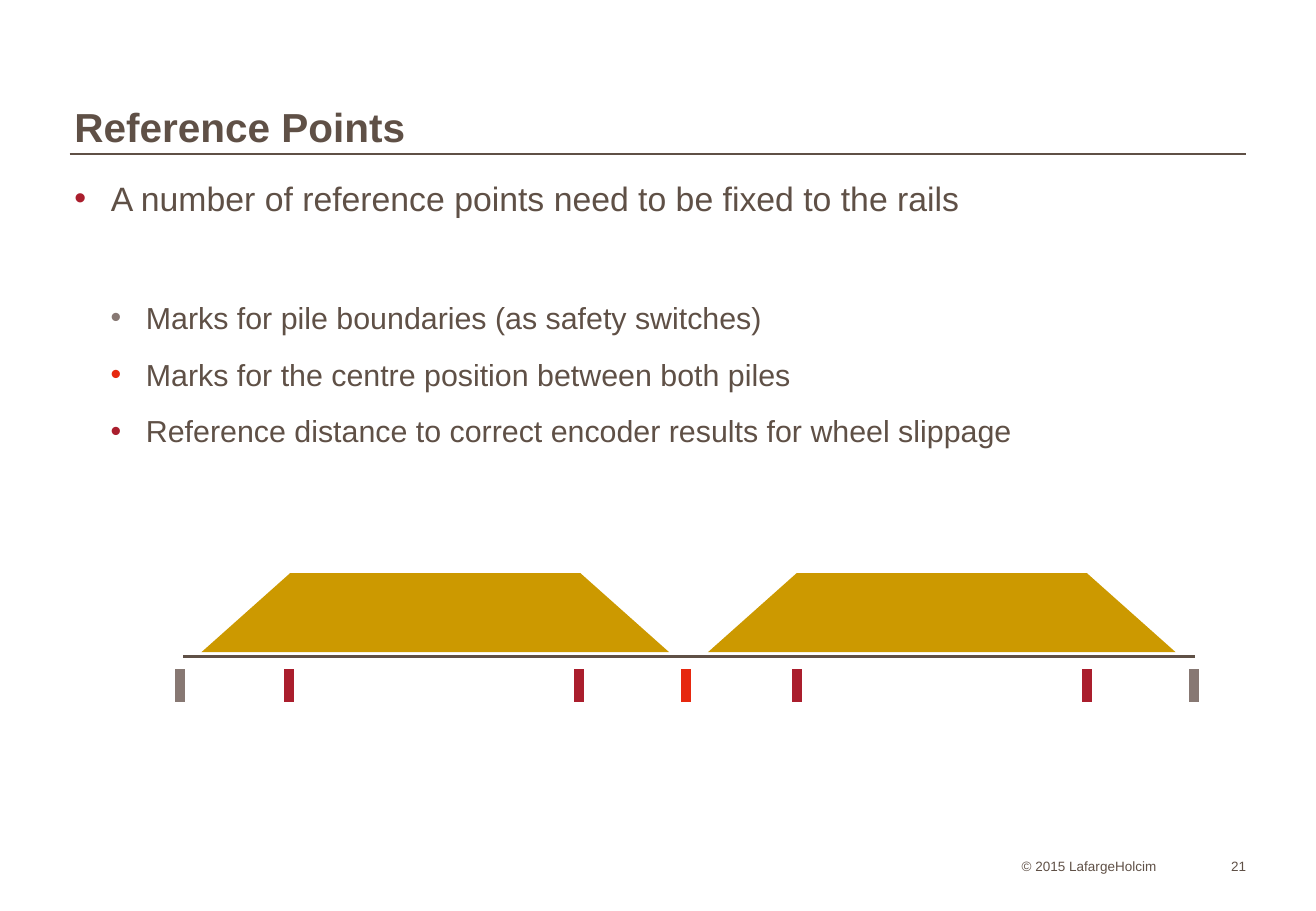
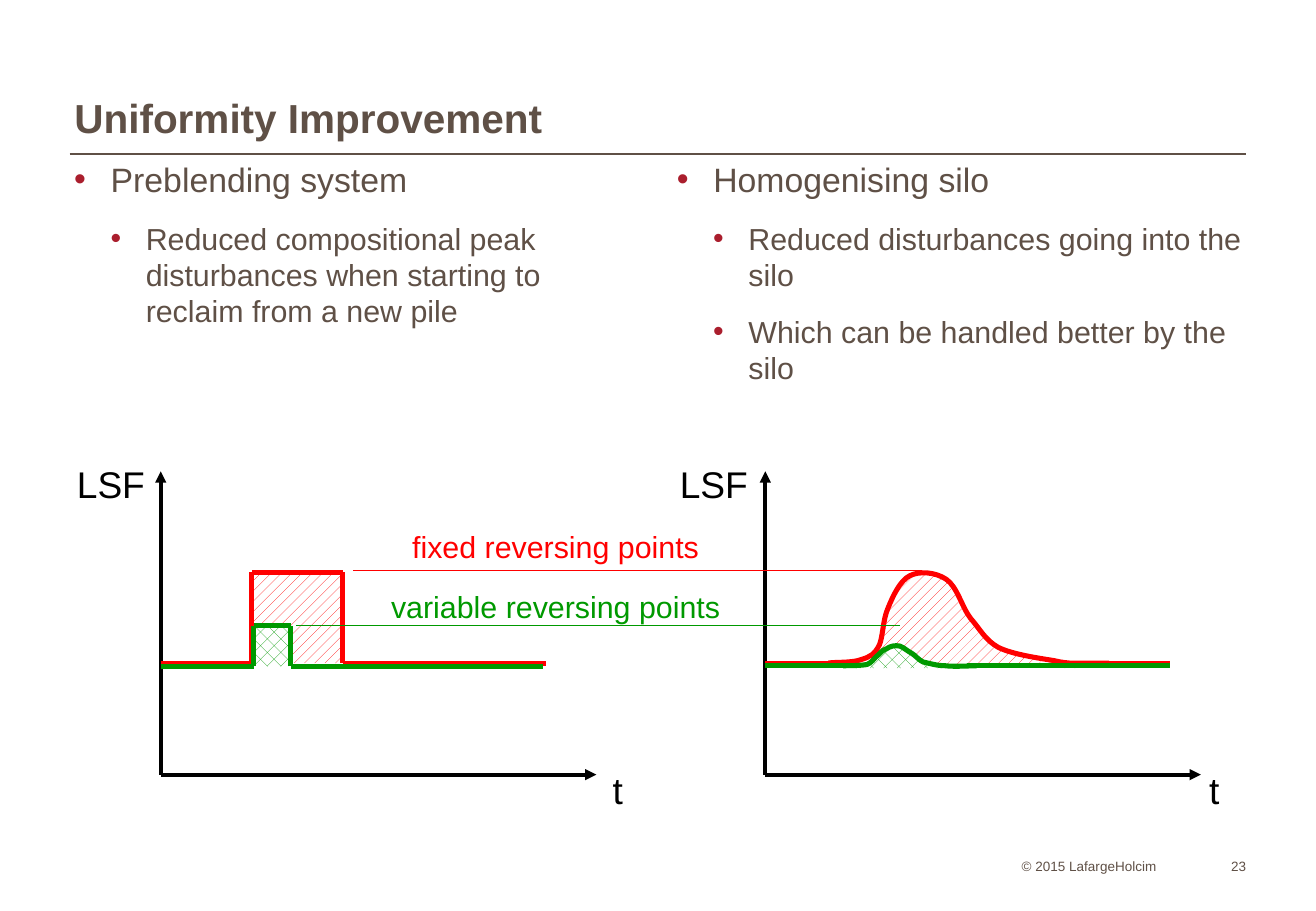
from dataclasses import dataclass

from lxml.etree import SubElement
from pptx import Presentation
from pptx.dml.color import RGBColor
from pptx.enum.dml import MSO_PATTERN
from pptx.enum.shapes import MSO_CONNECTOR, MSO_SHAPE
from pptx.enum.text import MSO_ANCHOR, PP_ALIGN
from pptx.oxml.ns import qn
from pptx.util import Pt


@dataclass(frozen=True)
class Theme:
    font: str = "Arial"
    brown: str = "5F5046"
    crimson: str = "AA1E2D"
    grey: str = "877873"
    orange: str = "E6280F"
    ochre: str = "CC9900"
    red: str = "FF0000"
    green: str = "009900"
    black: str = "000000"
    white: str = "FFFFFF"
    title: int = 24
    levels: tuple = (20, 18)
    axis: int = 22
    label: int = 18
    footer: int = 8


T = Theme()
COPYRIGHT = "© 2015 LafargeHolcim"
INDENTS = ((21.6, -21.6), (42.4, -20.9))  # left margin, first line

# Bullets: level, text, bullet colour, space before
REFERENCE_BULLETS = [
    (0, "A number of reference points need to be fixed to the rails", T.crimson, 0),
    (1, "Marks for pile boundaries (as safety switches)", T.grey, 48.2),
    (1, "Marks for the centre position between both piles", T.orange, 12),
    (1, "Reference distance to correct encoder results for wheel slippage", T.crimson, 12),
]
PREBLENDING_BULLETS = [
    (0, "Preblending system", T.crimson, 0),
    (1, "Reduced compositional peak disturbances when starting to reclaim from a new pile",
     T.crimson, 12),
]
SILO_BULLETS = [
    (0, "Homogenising silo", T.crimson, 0),
    (1, "Reduced disturbances going into the silo", T.crimson, 12),
    (1, "Which can be handled better by the silo", T.crimson, 12),
]

PILE_LEFTS = (119.4, 419.6)
PILE_WIDTH, PILE_SLOPE = 277.2, 52.5
PILE_TOP, PILE_BOTTOM = 339.8, 386.6
RAIL = (108.6, 708.5, 389.3)
TICK_TOP, TICK_BOTTOM = 396.8, 416.3
MARKS = [(106.6, T.grey), (171.3, T.crimson), (343.3, T.crimson), (406.8, T.orange),
         (472.3, T.crimson), (644.4, T.crimson), (707.8, T.grey)]

PLOTS = [(95.3, 38.4, 355.7), (453.6, 395.8, 709.2)]  # origin, "LSF" left, "t" left
AXIS_BASE, AXIS_TOP, AXIS_LENGTH = 459.2, 279.4, 258.2

RED_BASE, GREEN_BASE = 393.1, 395
RED_STEP = (149.3, 339.1, 203.3, 323.4)  # left, top, right, end of line
GREEN_STEP = (150.5, 370.8, 172.3, 321.8)
SILO_START, SILO_END = 453.6, 693.4
# Bezier chains: a start, then two control points and an end for each segment
RED_CURVE = [
    (491, 393.1),
    (494.6, 392.4), (505.4, 393.1), (510.5, 391),
    (515.5, 389.5), (518.4, 388.1), (521.3, 382.3),
    (523.4, 377.3), (523.4, 367.2), (526.3, 360.7),
    (529.2, 353.5), (533.5, 344.2), (539.3, 341.3),
    (545, 338.4), (554.4, 339.1), (560.9, 343.4),
    (567.4, 347.8), (570.2, 360), (575.3, 366.5),
    (581, 373), (583.9, 379.4), (591.8, 383.8),
    (600.5, 388.1), (616.3, 390.2), (625, 391.7),
    (633.6, 393.8), (640.1, 393.1), (645.8, 393.1),
    (650.9, 393.1), (655.2, 393.1), (657.4, 393.1),
]
GREEN_CURVE = [
    (499.7, 394.6),
    (502.6, 394.6), (510.5, 394.6), (514.1, 393.8),
    (517, 392.4), (517.7, 390.9), (519.1, 389.5),
    (521.3, 388.1), (522.7, 385.2), (525.6, 384.5),
    (527.8, 383), (530.6, 382.3), (533.5, 383),
    (535.7, 383.8), (537.8, 385.9), (540.7, 387.4),
    (542.9, 388.8), (544.3, 391), (547.2, 392.4),
    (550.8, 393.1), (555.1, 394.6), (560.2, 394.6),
    (565.9, 395.3), (575.3, 394.6), (578.9, 394.6),
]
RED_JOINS, GREEN_JOINS = (495.4, 657.4), (507.6, 573.1)  # inner ends of the flat lines
RED_AREA = [
    (488.9, 395.3), (639.4, 396), (594.7, 385.2), (583.9, 378), (575.3, 366.5),
    (564.5, 347), (555.1, 339.8), (540.7, 340.6), (533.5, 347), (524.2, 365.8),
    (520.6, 385.2), (513.4, 390.2), (502.6, 392.4),
]
GREEN_AREA = [(505.4, 396), (560.2, 396), (544.3, 391), (530.6, 382.3),
              (519.1, 388.8), (513.4, 394.6)]
LEADERS = [(175.7, 533.5, 370.6, T.green), (209.5, 546.5, 338.2, T.red)]
CURVE_LABELS = [
    ("fixed reversing points", (237.2, 309.6, 184.3, 28.8), T.red),
    ("variable reversing points", (224.6, 344.9, 209.5, 28.8), T.green),
]


def rgb(color):
    return RGBColor.from_string(color)


def text_box(s, box, margins=(0, 0, 0, 0), wrap=True, anchor=MSO_ANCHOR.TOP):
    tf = s.shapes.add_textbox(*map(Pt, box)).text_frame
    tf.margin_left, tf.margin_top, tf.margin_right, tf.margin_bottom = map(Pt, margins)
    tf.word_wrap = wrap
    tf.vertical_anchor = anchor
    return tf


def write(p, text, size, color, bold=False, align=None):
    p.text = text
    p.alignment = align
    font = p.runs[0].font
    font.name, font.size, font.bold = T.font, Pt(size), bold
    font.color.rgb = rgb(color)


def add_bullets(s, box, items):
    tf = text_box(s, box)
    for i, (level, text, color, before) in enumerate(items):
        p = tf.add_paragraph() if i else tf.paragraphs[0]
        pPr = p._p.get_or_add_pPr()
        left, first = INDENTS[level]
        pPr.set("marL", str(Pt(left)))
        pPr.set("indent", str(Pt(first)))
        SubElement(SubElement(pPr, qn("a:buClr")), qn("a:srgbClr"), val=color)
        SubElement(pPr, qn("a:buFont"), typeface=T.font)
        SubElement(pPr, qn("a:buChar"), char="•")
        p.level = level
        p.space_before = Pt(before)
        write(p, text, T.levels[level], T.brown)


def add_line(s, x1, y1, x2, y2, color, width, arrow=False):
    line = s.shapes.add_connector(MSO_CONNECTOR.STRAIGHT, *map(Pt, (x1, y1, x2, y2)))
    line.line.color.rgb = rgb(color)
    line.line.width = Pt(width)
    if arrow:
        SubElement(line.line._get_or_add_ln(), qn("a:tailEnd"), type="triangle")
    SubElement(line._element.spPr, qn("a:effectLst"))


def add_outline(s, points, close=True):
    start, *rest = [(Pt(x), Pt(y)) for x, y in points]
    builder = s.shapes.build_freeform(*start)
    builder.add_line_segments(rest, close=close)
    sp = builder.convert_to_shape()
    sp.shadow.inherit = False
    return sp


def add_curve(s, chain, color):
    """Draw a Bezier chain: every three line segments become one cubic segment."""
    sp = add_outline(s, chain, close=False)
    outline = next(sp._element.iter(qn("a:path")))
    segments = outline.findall(qn("a:lnTo"))
    for i in range(0, len(segments), 3):
        cubic = SubElement(outline, qn("a:cubicBezTo"))
        for segment in segments[i:i + 3]:
            cubic.append(segment[0])
            outline.remove(segment)
    sp.fill.background()
    sp.line.color.rgb = rgb(color)
    sp.line.width = Pt(3)


def hatch(sp, color, pattern):
    sp.shadow.inherit = False
    sp.fill.patterned()
    sp.fill.pattern = pattern
    sp.fill.fore_color.rgb = rgb(color)
    sp.fill.back_color.rgb = rgb(T.white)
    sp.line.fill.background()


def add_step(s, step, base, color, pattern):
    """Hatched rectangle with a line that rises over it."""
    left, top, right, end = step
    hatch(s.shapes.add_shape(MSO_SHAPE.RECTANGLE,
                             *map(Pt, (left, top, right - left, base - top))), color, pattern)
    for ends in ((PLOTS[0][0], base, left, base), (left, top, right, top),
                 (right, base, end, base), (right, base, right, top),
                 (left, base, left, top)):
        add_line(s, *ends, color, 3)


def add_silo_curve(s, chain, joins, color):
    add_curve(s, chain, color)
    y = chain[0][1]
    add_line(s, joins[0], y, SILO_START, y, color, 3)
    add_line(s, SILO_END, y, joins[1], y, color, 3)


def add_label(s, text, box, size, color):
    tf = text_box(s, box, (7.2, 3.6, 7.2, 3.6), wrap=False)
    write(tf.paragraphs[0], text, size, color, align=PP_ALIGN.CENTER)


def new_slide(prs, title, title_top, number):
    s = prs.slides.add_slide(prs.slide_layouts[6])
    add_line(s, 41.3, 91.3, 738.6, 91.3, T.brown, 1)
    for text, box, align in ((COPYRIGHT, (605.5, 505.4, 95, 13), PP_ALIGN.LEFT),
                             (str(number), (704.9, 505.4, 33.8, 13), PP_ALIGN.RIGHT)):
        tf = text_box(s, box, wrap=False, anchor=MSO_ANCHOR.BOTTOM)
        write(tf.paragraphs[0], text, T.footer, T.brown, align=align)
    tf = text_box(s, (44.1, title_top, 691.2, 62.6), (0, 0, 0, 0.7), anchor=MSO_ANCHOR.BOTTOM)
    write(tf.paragraphs[0], title, T.title, T.brown, bold=True)
    tf.paragraphs[0].line_spacing = 0.95
    return s


def reference_points(prs):
    s = new_slide(prs, "Reference Points", 28, 21)
    add_bullets(s, (44.1, 105.1, 691.9, 402.5), REFERENCE_BULLETS)
    rail_left, rail_right, rail_y = RAIL
    add_line(s, rail_left, rail_y, rail_right, rail_y, T.brown, 1.5)
    for left in PILE_LEFTS:
        right = left + PILE_WIDTH
        pile = add_outline(s, [(left, PILE_BOTTOM), (left + PILE_SLOPE, PILE_TOP),
                               (right - PILE_SLOPE, PILE_TOP), (right, PILE_BOTTOM)])
        pile.fill.solid()
        pile.fill.fore_color.rgb = rgb(T.ochre)
        pile.line.fill.background()
    for x, color in MARKS:
        add_line(s, x, TICK_TOP, x, TICK_BOTTOM, color, 6)


def uniformity_improvement(prs):
    s = new_slide(prs, "Uniformity Improvement", 22.7, 23)
    for left, items in ((401.2, SILO_BULLETS), (44, PREBLENDING_BULLETS)):
        add_bullets(s, (left, 94.2, 334.8, 402.5), items)

    hatch(add_outline(s, RED_AREA), T.red, MSO_PATTERN.PERCENT_20)
    for x, lsf_left, t_left in PLOTS:
        add_line(s, x, AXIS_BASE, x, AXIS_TOP, T.black, 2.25, arrow=True)
        add_line(s, x, AXIS_BASE, x + AXIS_LENGTH, AXIS_BASE, T.black, 2.25, arrow=True)
        add_label(s, "LSF", (lsf_left, 270, 54.7, 33.8), T.axis, T.black)
        add_label(s, "t", (t_left, 451.4, 20.9, 33.8), T.axis, T.black)

    add_step(s, RED_STEP, RED_BASE, T.red, MSO_PATTERN.PERCENT_20)
    add_step(s, GREEN_STEP, GREEN_BASE, T.green, MSO_PATTERN.PERCENT_25)
    add_silo_curve(s, RED_CURVE, RED_JOINS, T.red)
    hatch(add_outline(s, GREEN_AREA), T.green, MSO_PATTERN.PERCENT_25)
    add_silo_curve(s, GREEN_CURVE, GREEN_JOINS, T.green)

    for x1, x2, y, color in LEADERS:
        add_line(s, x1, y, x2, y, color, 0.75)
    for text, box, color in CURVE_LABELS:
        add_label(s, text, box, T.label, color)


def main():
    prs = Presentation()
    prs.slide_width, prs.slide_height = Pt(780), Pt(540)
    reference_points(prs)
    uniformity_improvement(prs)
    prs.save("out.pptx")


if __name__ == "__main__":
    main()
